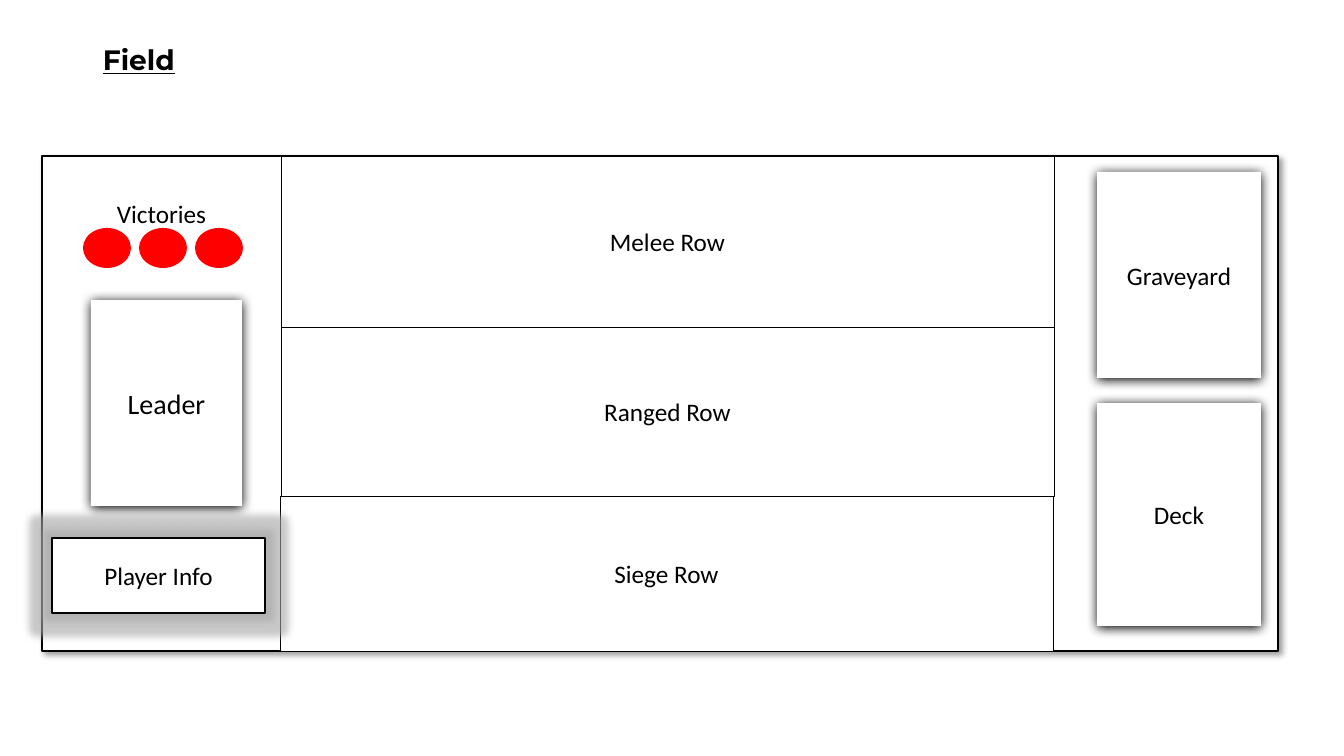
"""Build the card game field slide."""
from lxml import etree
from pptx import Presentation
from pptx.dml.color import RGBColor
from pptx.enum.shapes import MSO_SHAPE
from pptx.enum.text import MSO_ANCHOR, PP_ALIGN
from pptx.oxml.ns import qn
from pptx.util import Pt

RECT = MSO_SHAPE.RECTANGLE
DISC = MSO_SHAPE.FLOWCHART_CONNECTOR
MID, TOP = MSO_ANCHOR.MIDDLE, MSO_ANCHOR.TOP
LEFT, CENTER = PP_ALIGN.LEFT, PP_ALIGN.CENTER
SCALE = 914400 / 100.8
BLACK, WHITE, RED, GRAY = "000000", "FFFFFF", "FF0000", "A5A5A5"

BOARD = (42, 156, 1236, 495)
CARDS = [
    ("Leader", 20, (91, 300, 151, 206)),
    ("Deck", 18, (1097, 403, 164, 223)),
    ("Graveyard", 18, (1097, 172, 164, 206)),
]
ROWS = [("Melee Row", 281, 171), ("Ranged Row", 281, 169), ("Siege Row", 280, 155)]
ROW_W = 773
WINS = 3
WIN_X, WIN_Y, WIN_W, WIN_H, WIN_STEP = 83, 228, 48, 40, 56
INFO = ("Player Info", (52, 538, 213, 75))


def px(val):
    return round(val * SCALE)


def color(code):
    return RGBColor.from_string(code)


def write(shape, text, size=18, font="Calibri", align=CENTER, anchor=MID):
    frame = shape.text_frame
    frame.word_wrap = True
    frame.vertical_anchor = anchor
    para = frame.paragraphs[0]
    para.alignment = align
    run = para.add_run()
    run.text = text
    run.font.name = font
    run.font.size = Pt(size)
    run.font.color.rgb = color(BLACK)
    return para, run


def draw(box, kind=RECT, fill=WHITE, line=0):
    shape = slide.shapes.add_shape(kind, *map(px, box))
    shape.shadow.inherit = False
    shape.fill.solid()
    shape.fill.fore_color.rgb = color(fill)
    if line:
        shape.line.width = Pt(line)
        shape.line.color.rgb = color(BLACK)
    else:
        shape.line.fill.background()
    return shape


def label(box, text, **style):
    write(slide.shapes.add_textbox(*map(px, box)), text, align=LEFT, **style)


def effect(shape, kind, code, alpha, **attrs):
    group = shape.element.spPr.find(qn("a:effectLst"))
    node = etree.SubElement(group, qn("a:" + kind))
    for name, val in attrs.items():
        node.set(name, str(val))
    tint = etree.SubElement(node, qn("a:srgbClr"), val=code)
    etree.SubElement(tint, qn("a:alpha"), val=str(alpha * 1000))


def shade(shape, alpha, blur, dist, angle):
    effect(shape, "outerShdw", BLACK, alpha, blurRad=Pt(blur), dist=Pt(dist),
           dir=angle * 60000, rotWithShape=0)


deck = Presentation()
deck.slide_width, deck.slide_height = px(1344), px(756)
slide = deck.slides.add_slide(deck.slide_layouts[6])

title = slide.shapes.add_textbox(*map(px, (93, 40, 133, 43)))
para, run = write(title, "Field", 20, "Montserrat", LEFT)
para.line_spacing = 0.9
run.font.bold = run.font.underline = True

shade(draw(BOARD, line=1), 40, 4, 3, 45)

for text, size, box in CARDS:
    card = draw(box)
    shade(card, 100, 8.5, 1, 90)
    write(card, text, size)

top = BOARD[1]
for text, left, high in ROWS:
    write(draw((left, top, ROW_W, high), line=0.5), text)
    top += high

for i in range(WINS):
    draw((WIN_X + i * WIN_STEP, WIN_Y, WIN_W, WIN_H), DISC, RED)
label((107, 193, 152, 40), "Victories", anchor=TOP)

text, box = INFO
info = draw(box, line=1)
effect(info, "glow", GRAY, 60, rad=Pt(11))
write(info, text)

deck.save("out.pptx")
